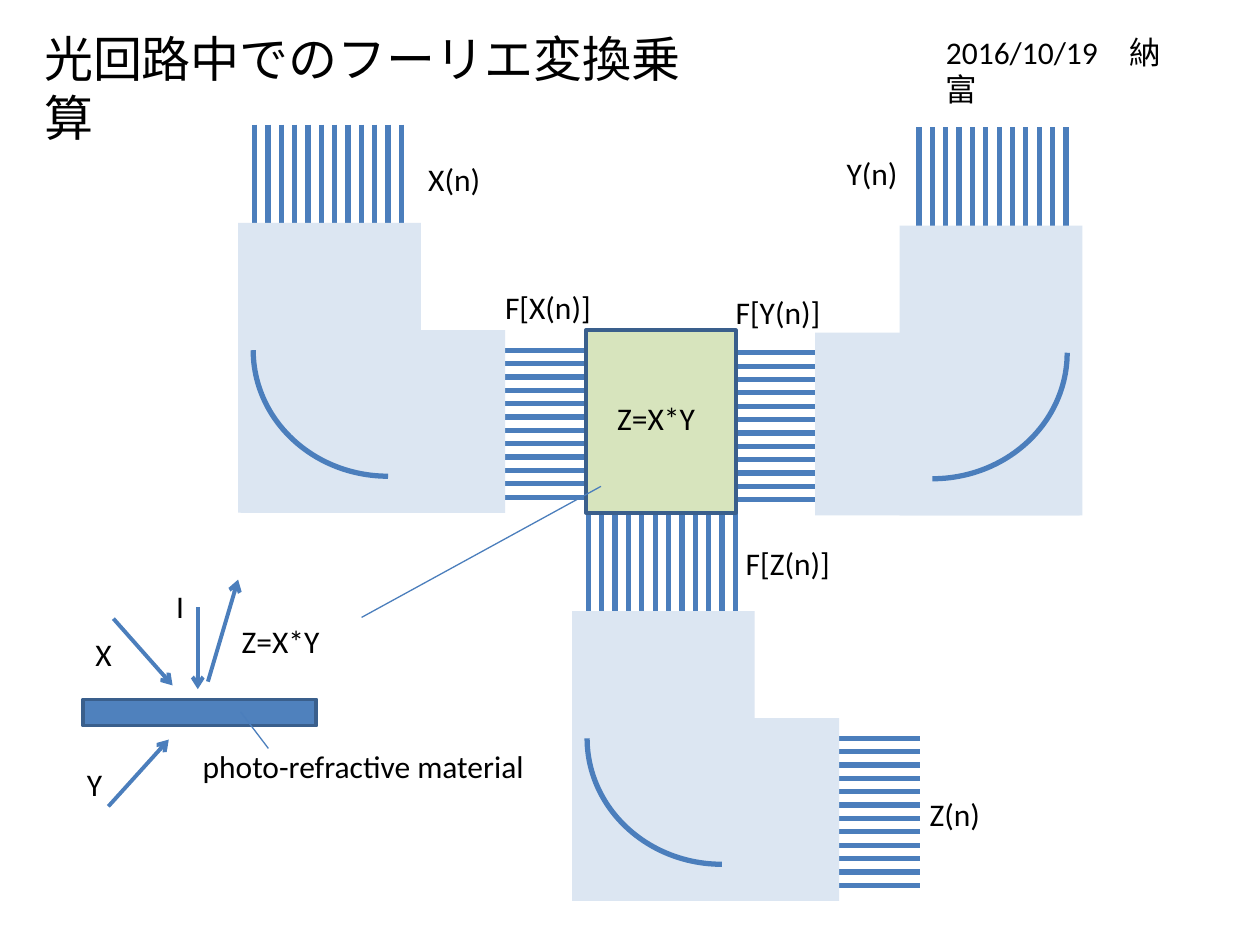
from dataclasses import dataclass

from pptx import Presentation
from pptx.dml.color import RGBColor as RGB
from pptx.enum.shapes import MSO_CONNECTOR as Conn, MSO_SHAPE as Kind
from pptx.enum.text import MSO_ANCHOR as Anchor, MSO_AUTO_SIZE as Fit, PP_ALIGN as Align
from pptx.oxml.ns import qn
from pptx.oxml.xmlchemy import OxmlElement as Tag
from pptx.util import Inches, Pt


@dataclass(frozen=True)
class Theme:
    font: str = "Calibri"
    title: Pt = Pt(28)
    label: Pt = Pt(18)
    ink: RGB = RGB(0, 0, 0)
    beam: RGB = RGB(0x4B, 0x7E, 0xBC)
    guide: RGB = RGB(0xDC, 0xE6, 0xF2)
    cell: RGB = RGB(0xD7, 0xE4, 0xBD)
    plate: RGB = RGB(0x4F, 0x81, 0xBD)
    edge: RGB = RGB(0x3A, 0x5F, 0x8C)


theme = Theme()
deck = Presentation()
deck.slide_width, deck.slide_height = Inches(10), Inches(7.5)
slide = deck.slides.add_slide(deck.slide_layouts[5])
shapes = slide.shapes


def line(x1, y1, x2, y2, width, arrow=False):
    beam = shapes.add_connector(Conn.STRAIGHT, *map(Inches, (x1, y1, x2, y2)))
    beam.line.color.rgb = theme.beam
    beam.line.width = Pt(width)
    props = beam._element.spPr
    if arrow:
        head = Tag("a:tailEnd")
        head.set("type", "arrow")
        props.find(qn("a:ln")).append(head)
    props.append(Tag("a:effectLst"))


def block(kind, x, y, w, h, fill=None, edge=None, width=2):
    shape = shapes.add_shape(kind, *map(Inches, (x, y, w, h)))
    shape.shadow.inherit = False
    if fill is None:
        shape.fill.background()
    else:
        shape.fill.solid()
        shape.fill.fore_color.rgb = fill
    if edge is None:
        shape.line.fill.background()
    else:
        shape.line.color.rgb = edge
        shape.line.width = Pt(width)
    return shape


title = shapes.title
title.left, title.top, title.width, title.height = map(Inches, (0.25, 0.18, 5.43, 0.57))
frame = title.text_frame
frame.text = "光回路中でのフーリエ変換乗算"
frame.auto_size = Fit.NONE
frame.word_wrap = True
frame.vertical_anchor = Anchor.TOP
para = frame.paragraphs[0]
para.alignment = Align.LEFT
para.font.name, para.font.size = theme.font, theme.title
para.font.color.rgb = theme.ink

# Elbow guides: outer top corner, and the side the lower arm points to
beams, step = 12, 0.106
for x, y, side in [(4.54, 4.85, 1), (1.89, 1.77, 1), (8.59, 1.79, -1)]:
    for i in range(beams):
        across = x + side * (0.13 + i * step)
        down = y + 1.01 + i * step
        line(across, y - 0.78, across, y + 0.07, 3)
        line(x + side * 1.91, down, x + side * 2.76, down, 3)
    for near, top, w, h in [(0.02, 0.85, 2.1, 1.45), (0, 0, 1.45, 2.3)]:
        left = x + near if side > 0 else x - near - w
        block(Kind.RECTANGLE, left, y + top, w, h, theme.guide)
    left = x + 0.12 if side > 0 else x - 0.12 - 2.14
    mirror = block(Kind.ARC, left, y + 0.01, 2.14, 2, edge=theme.beam, width=3)
    # 54 stands for a quarter turn
    start = 54 if side > 0 else 0
    mirror.adjustments[0], mirror.adjustments[1] = start, start + 54

block(Kind.RECTANGLE, 4.65, 2.62, 1.19, 1.45, theme.cell, theme.edge)
block(Kind.RECTANGLE, 0.66, 5.55, 1.85, 0.21, theme.plate, theme.edge)

for ends in [(4.77, 3.86, 2.87, 4.9), (1.91, 5.65, 2.13, 5.94)]:
    line(*ends, 0.75)
for ends in [(0.9, 4.91, 1.37, 5.44), (0.86, 6.4, 1.34, 5.87),
             (1.57, 4.82, 1.57, 5.47), (1.65, 5.41, 1.89, 4.6)]:
    line(*ends, 2.25, arrow=True)

date = "2016/10/19　納富"
for text, x, y, w in [
    ("X(n)", 3.3, 1.22, 0.62),
    ("Y(n)", 6.62, 1.17, 0.61),
    ("Z(n)", 7.28, 6.26, 0.61),
    ("F[X(n)]", 3.91, 2.24, 0.89),
    ("F[Y(n)]", 5.74, 2.28, 0.88),
    ("F[Z(n)]", 5.82, 4.27, 0.88),
    ("Z=X*Y", 4.8, 3.12, 0.83),
    ("Z=X*Y", 1.82, 4.89, 0.83),
    ("X", 0.66, 4.99, 0.33),
    ("Y", 0.59, 6.02, 0.32),
    ("I", 1.3, 4.61, 0.27),
    ("photo-refractive material", 1.51, 5.88, 2.78),
    (date, 7.41, 0.21, 2.1),
]:
    frame = shapes.add_textbox(*map(Inches, (x, y, w, 0.4))).text_frame
    frame.text = text
    frame.word_wrap = text == date
    para = frame.paragraphs[0]
    para.font.name, para.font.size = theme.font, theme.label
    para.font.color.rgb = theme.ink

deck.save("out.pptx")
